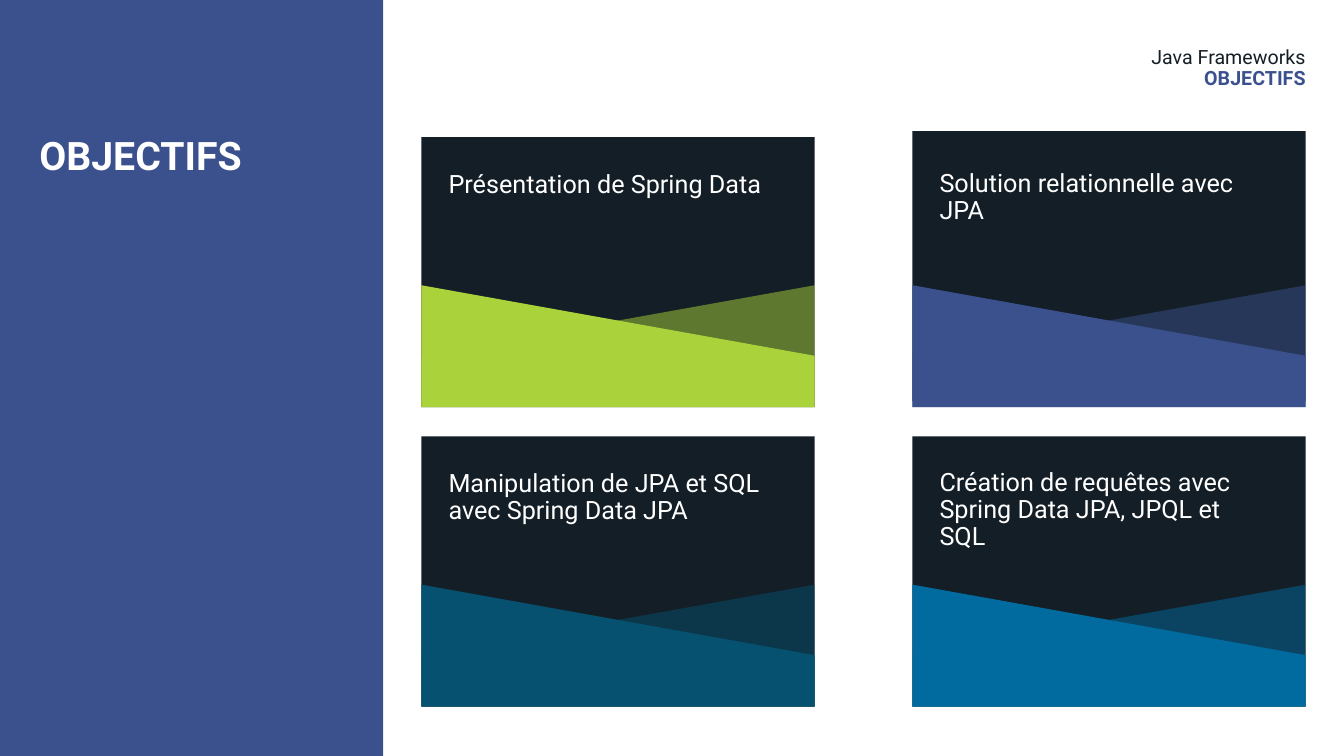
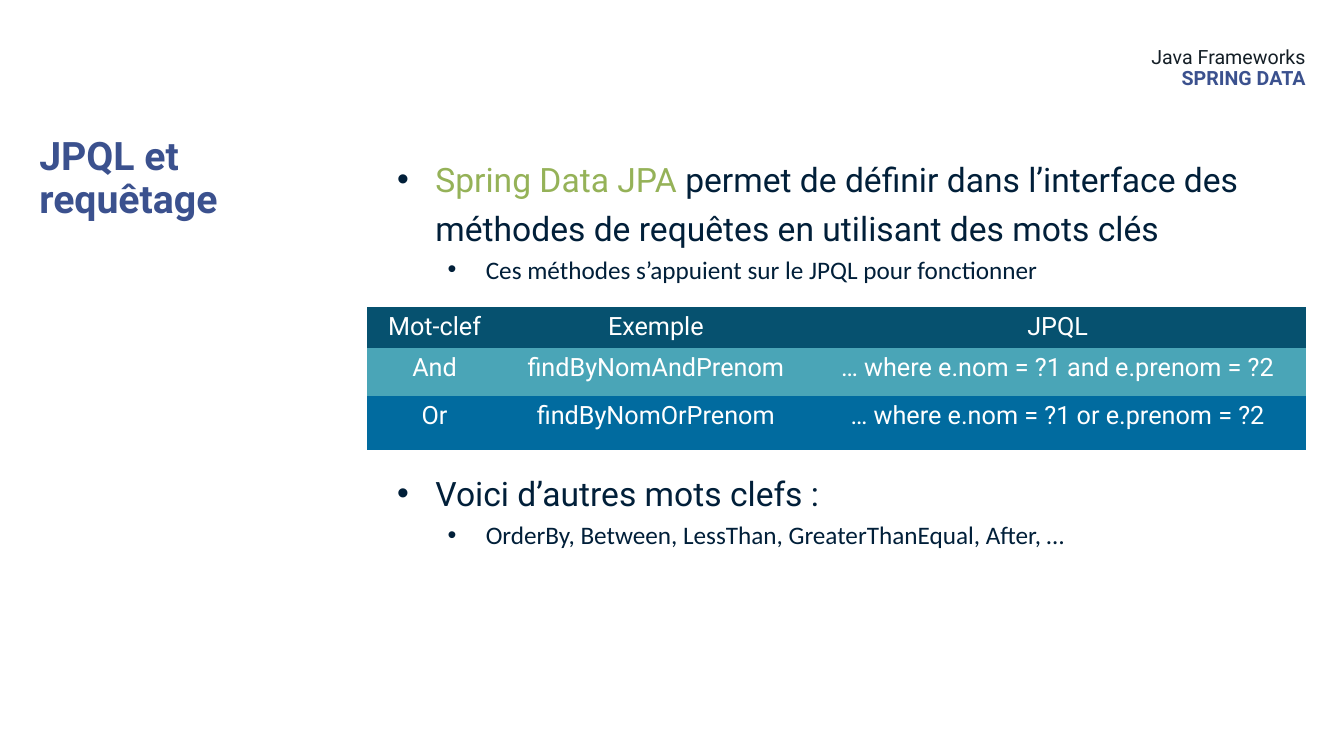
from pptx import Presentation
from pptx.dml.color import RGBColor
from pptx.enum.shapes import MSO_SHAPE
from pptx.enum.text import PP_ALIGN
from pptx.oxml.ns import qn
from pptx.util import Inches, Pt
from lxml import etree

RECTANGLE = MSO_SHAPE.RECTANGLE
LEFT, CENTER, RIGHT = PP_ALIGN.LEFT, PP_ALIGN.CENTER, PP_ALIGN.RIGHT

INDIGO = RGBColor(0x3B, 0x51, 0x8E)
INK = RGBColor(0x14, 0x1E, 0x26)
NAVY = RGBColor(0x01, 0x1F, 0x39)
WHITE = RGBColor(0xFF, 0xFF, 0xFF)
LIME = RGBColor(0xAA, 0xD2, 0x3B)
OLIVE = RGBColor(0x95, 0xB2, 0x58)
PETROL = RGBColor(0x06, 0x51, 0x6F)
OCEAN = RGBColor(0x01, 0x6B, 0x9F)
TEAL = RGBColor(0x4A, 0xA5, 0xB7)

SLIDE_W, SLIDE_H = 13.33, 7.5
CONTENT_LEFT, CONTENT_RIGHT = 4.18, 12.95
TITLE_LEFT, TITLE_TOP = 0.39, 1.36
PANEL_W = 3.8
CARD_W, CARD_H = 3.9, 2.68
BAND_H, BAND_SLOPE = 1.21, 0.7

TITLE_FONT = {"name": "Roboto", "size": Pt(28), "bold": True}
COURSE_FONT = {"name": "Roboto", "size": Pt(14)}
SECTION_FONT = {**COURSE_FONT, "bold": True}
CARD_FONT = {"name": "Roboto", "size": Pt(18)}
BULLET_FONTS = ({"name": "Roboto", "size": Pt(24)},
                {"name": "Calibri", "size": Pt(18)})

COURSE = "Java Frameworks"

# Row by row: text, band colour, upward shift of the card and of its text
CARDS = [
    [("Présentation de Spring Data", LIME, 0, 0),
     ("Solution relationnelle avec JPA", INDIGO, 0.06, 0.01)],
    [("Manipulation de JPA et SQL avec Spring Data JPA", PETROL, 0, 0),
     ("Création de requêtes avec Spring Data JPA, JPQL et SQL", OCEAN, 0, 0.01)],
]
CARD_TOPS = (1.36, 4.33)

# Level, space before in points, coloured pieces
BULLETS = [
    (0, 0, [("Spring Data JPA", OLIVE),
            (" permet de définir dans l’interface des méthodes de requêtes "
             "en utilisant des mots clés", NAVY)]),
    (1, 0, [("Ces méthodes s’appuient sur le JPQL pour fonctionner", NAVY)]),
    (0, 129, [("Voici d’autres mots clefs :", NAVY)]),
    (1, 0, [("OrderBy, Between, LessThan, GreaterThanEqual, After, …", NAVY)]),
]

KEYWORD_ROWS = [
    (0.4, PETROL, ("Mot-clef", "Exemple", "JPQL")),
    (0.48, TEAL, ("And", "findByNomAndPrenom", "… where e.nom = ?1 and e.prenom = ?2")),
    (0.53, OCEAN, ("Or", "findByNomOrPrenom", "… where e.nom = ?1 or e.prenom = ?2")),
]
KEYWORD_COLUMNS = (1.34, 3.05, 4.92)
NO_STYLE_NO_GRID = "{2D5ABB26-0587-4C30-8999-92F81FD0307C}"


def add_run(paragraph, text, color, font):
    run = paragraph.add_run()
    run.text = text
    for attribute, value in font.items():
        setattr(run.font, attribute, value)
    run.font.color.rgb = color


def add_text_frame(slide, left, top, width, height, margins=True):
    frame = slide.shapes.add_textbox(*map(Inches, (left, top, width, height))).text_frame
    frame.word_wrap = True
    if not margins:
        for side in ("left", "top", "right", "bottom"):
            setattr(frame, f"margin_{side}", 0)
    return frame


def add_lines(frame, lines, align=LEFT):
    """Write one tightly spaced paragraph per (text, colour, font)."""
    for index, line in enumerate(lines):
        paragraph = frame.add_paragraph() if index else frame.paragraphs[0]
        paragraph.alignment = align
        paragraph.line_spacing = 0.9
        add_run(paragraph, *line)


def paint(shape, color):
    shape.shadow.inherit = False
    shape.fill.solid()
    shape.fill.fore_color.rgb = color
    shape.line.fill.background()


def add_block(slide, left, top, width, height, color):
    block = slide.shapes.add_shape(RECTANGLE, *map(Inches, (left, top, width, height)))
    paint(block, color)


def add_band(slide, left, top, color, rising=False):
    """Draw a band whose upper edge slopes; the rising one is half transparent."""
    left_top, right_top = (top + BAND_SLOPE, top) if rising else (top, top + BAND_SLOPE)
    right, bottom = left + CARD_W, top + BAND_H
    corners = [(left, left_top), (right, right_top), (right, bottom), (left, bottom)]
    start, *others = [(Inches(x), Inches(y)) for x, y in corners]
    builder = slide.shapes.build_freeform(*start)
    builder.add_line_segments(others, close=True)
    band = builder.convert_to_shape()
    paint(band, color)
    if rising:
        fill_color = band.fill._xPr.find(qn("a:solidFill"))[0]
        etree.SubElement(fill_color, qn("a:alpha"), val="50000")


def add_headings(slide, title, title_color, section):
    frame = add_text_frame(slide, TITLE_LEFT, TITLE_TOP, 3.12, 4.84, margins=False)
    add_lines(frame, [(title, title_color, TITLE_FONT)])
    frame = add_text_frame(slide, CONTENT_LEFT, 0.47, CONTENT_RIGHT - CONTENT_LEFT,
                           0.59, margins=False)
    add_lines(frame, [(COURSE, INK, COURSE_FONT), (section, INDIGO, SECTION_FONT)], RIGHT)


def add_cards(slide):
    lefts = (CONTENT_LEFT, CONTENT_RIGHT - CARD_W)
    for top, row in zip(CARD_TOPS, CARDS):
        for left, (text, color, card_shift, text_shift) in zip(lefts, row):
            add_block(slide, left, top - card_shift, CARD_W, CARD_H, INK)
            band_top = top + CARD_H - BAND_H
            add_band(slide, left, band_top, color, rising=True)
            add_band(slide, left, band_top, color)
            frame = add_text_frame(slide, left + 0.17, top + 0.29 - text_shift, 3.49, 0.65)
            add_lines(frame, [(text, WHITE, CARD_FONT)])


def add_bullets(slide):
    frame = add_text_frame(slide, 3.84, 1.45, 9.11, 4.42)
    for index, (level, space_before, pieces) in enumerate(BULLETS):
        paragraph = frame.add_paragraph() if index else frame.paragraphs[0]
        paragraph.level = level
        paragraph.line_spacing = 1.2
        if space_before:
            paragraph.space_before = Pt(space_before)
        properties = paragraph._p.get_or_add_pPr()
        properties.set("marL", str(Inches(0.38 + 0.5 * level)))
        properties.set("indent", str(-Inches(0.38)))
        bullet_color = etree.SubElement(properties, qn("a:buClr"))
        etree.SubElement(bullet_color, qn("a:srgbClr"), val=str(NAVY))
        etree.SubElement(properties, qn("a:buFont"), typeface="Arial")
        etree.SubElement(properties, qn("a:buChar"), char="•")
        for text, color in pieces:
            add_run(paragraph, text, color, BULLET_FONTS[level])


def add_keyword_table(slide):
    width = sum(KEYWORD_COLUMNS)
    height = sum(row[0] for row in KEYWORD_ROWS)
    table = slide.shapes.add_table(
        len(KEYWORD_ROWS), len(KEYWORD_COLUMNS),
        *map(Inches, (CONTENT_RIGHT - width, 3.05, width, height))).table
    table._tbl.tblPr.find(qn("a:tableStyleId")).text = NO_STYLE_NO_GRID
    table.horz_banding = False
    for column, column_width in zip(table.columns, KEYWORD_COLUMNS):
        column.width = Inches(column_width)
    for row, (row_height, color, texts) in zip(table.rows, KEYWORD_ROWS):
        row.height = Inches(row_height)
        for cell, text in zip(row.cells, texts):
            cell.fill.solid()
            cell.fill.fore_color.rgb = color
            paragraph = cell.text_frame.paragraphs[0]
            paragraph.alignment = CENTER
            add_run(paragraph, text, WHITE, CARD_FONT)


def main():
    deck = Presentation()
    deck.slide_width, deck.slide_height = Inches(SLIDE_W), Inches(SLIDE_H)
    blank = deck.slide_layouts[6]

    objectives = deck.slides.add_slide(blank)
    add_block(objectives, 0, 0, PANEL_W, SLIDE_H, INDIGO)
    add_headings(objectives, "OBJECTIFS", WHITE, "OBJECTIFS")
    add_cards(objectives)

    queries = deck.slides.add_slide(blank)
    add_bullets(queries)
    add_headings(queries, "JPQL et requêtage", INDIGO, "SPRING DATA")
    add_keyword_table(queries)

    deck.save("out.pptx")


if __name__ == "__main__":
    main()
